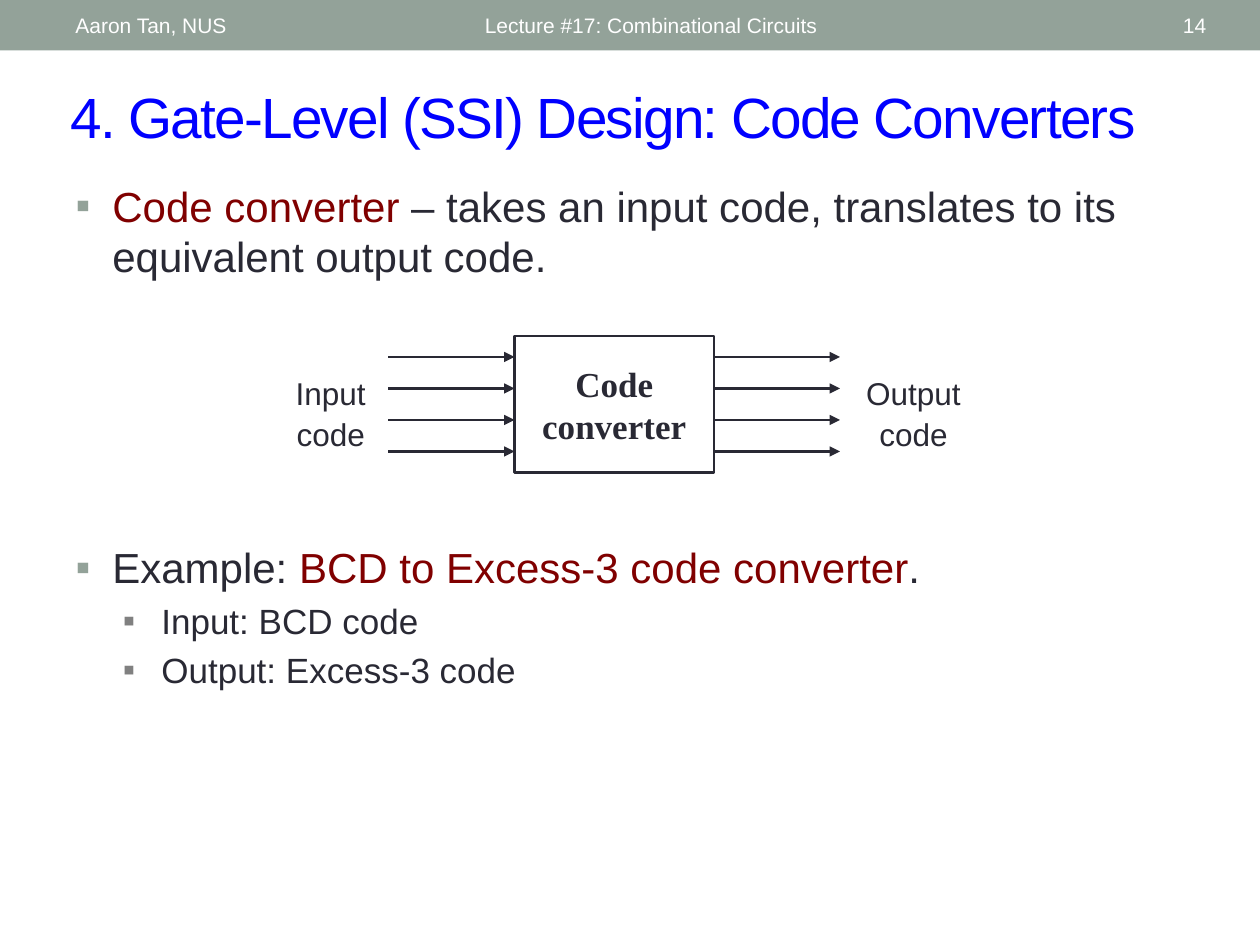
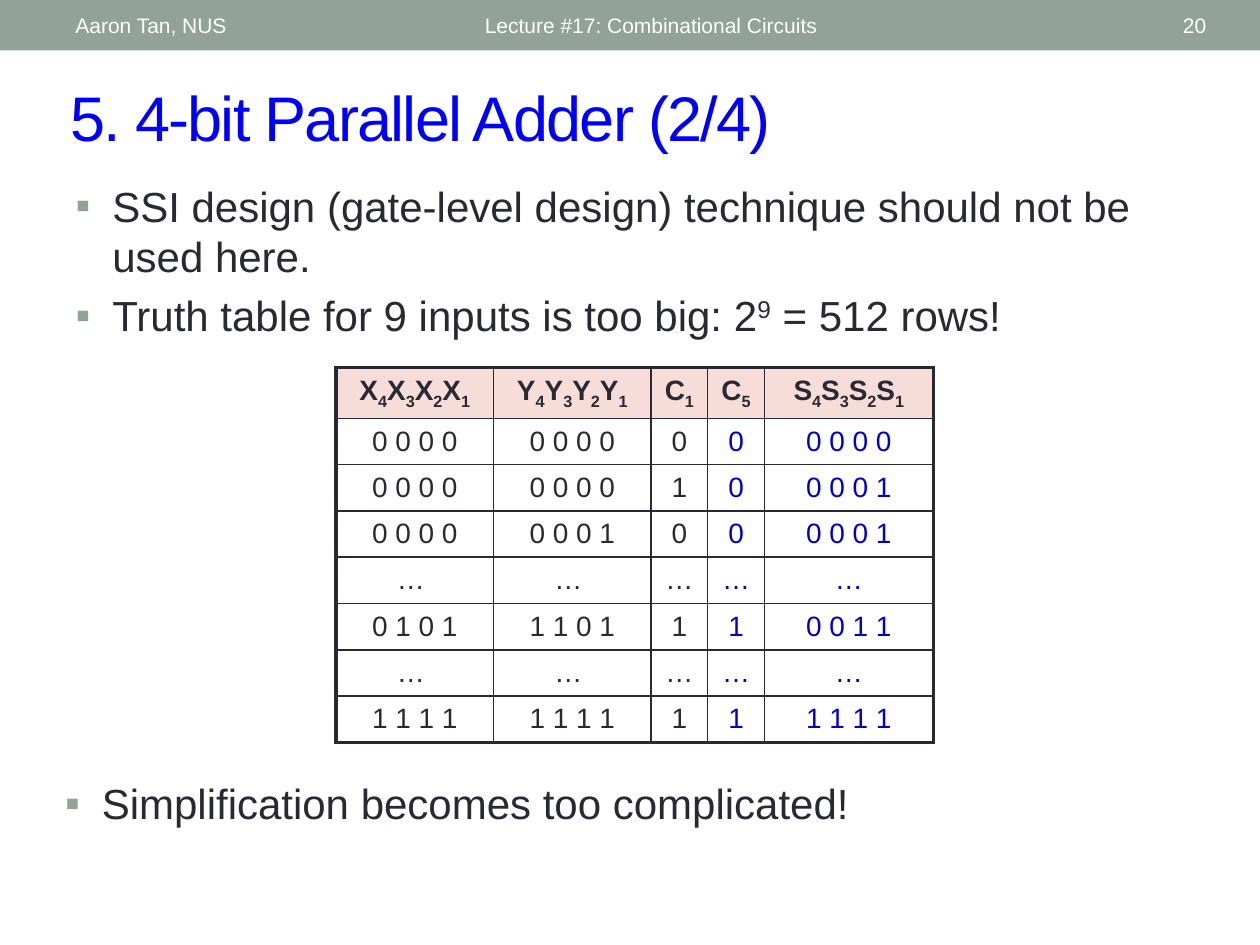
from lxml import etree
from pptx import Presentation
from pptx.dml.color import RGBColor
from pptx.enum.shapes import MSO_CONNECTOR, MSO_SHAPE
from pptx.enum.text import MSO_ANCHOR, MSO_AUTO_SIZE, PP_ALIGN
from pptx.oxml.ns import qn
from pptx.util import Pt

LEFT, CENTER, RIGHT = PP_ALIGN.LEFT, PP_ALIGN.CENTER, PP_ALIGN.RIGHT
TOP, MIDDLE = MSO_ANCHOR.TOP, MSO_ANCHOR.MIDDLE
NO_AUTOFIT = MSO_AUTO_SIZE.NONE
STRAIGHT, RECTANGLE = MSO_CONNECTOR.STRAIGHT, MSO_SHAPE.RECTANGLE

COLORS = {
    "band": "93A299", "band text": "FFFFFF", "title": "0000FF", "text": "292934",
    "term": "800000", "sub-bullet": "808080", "header": "F6DDD8", "output": "0000CC",
}
SANS, SERIF = "Arial", "Times New Roman"
BULLET = "▪"
LEVELS = [
    {"size": 24, "margin": 21, "indent": -21, "bullet": "band"},
    {"size": 20, "margin": 49, "indent": -22, "bullet": "sub-bullet"},
]

AUTHOR = "Aaron Tan, NUS"
LECTURE = "Lecture #17: Combinational Circuits"

CONVERTER_SLIDE = {
    "number": "14",
    "title": "4. Gate-Level (SSI) Design: Code Converters",
    "title size": 32.4,
    "lists": [
        ((36, 99.4, 648, 75), [
            (0, [("Code converter ", "term"),
                 ("– takes an input code, translates to its equivalent output code.", "text")]),
        ]),
        ((36, 306, 648, 96), [
            (0, [("Example: ", "text"), ("BCD to Excess-3 code converter", "term"), (".", "text")]),
            (1, [("Input: BCD code", "text")]),
            (1, [("Output: Excess-3 code", "text")]),
        ]),
    ],
}
ADDER_SLIDE = {
    "number": "20",
    "title": "5. 4-bit Parallel Adder (2/4)",
    "title size": 36,
    "lists": [
        ((36, 99.4, 618, 103), [
            (0, [("SSI design (gate-level design) technique should not be used here.", "text")]),
            (0, [("Truth table for 9 inputs is too big: 2", "text"), ("9", "power"),
                 (" = 512 rows!", "text")]),
        ]),
        ((30, 440.6, 648, 42), [(0, [("Simplification becomes too complicated!", "text")])]),
    ],
}

CONVERTER = ["Code", "converter"]
CONVERTER_BOX = (294, 192, 114, 78)
SIGNALS = [
    (["Input", "code"], (156, 210, 66, 53), 222),
    (["Output", "code"], (486, 210, 72, 53), 408),
]
SIGNAL_COUNT, FIRST_SIGNAL, SIGNAL_GAP, SIGNAL_LENGTH = 4, 204, 18, 72

TRUTH_TABLE = [
    ("X4X3X2X1", "Y4Y3Y2Y1", "C1", "C5", "S4S3S2S1"),
    ("0 0 0 0", "0 0 0 0", "0", "0", "0 0 0 0"),
    ("0 0 0 0", "0 0 0 0", "1", "0", "0 0 0 1"),
    ("0 0 0 0", "0 0 0 1", "0", "0", "0 0 0 1"),
    ("… ", "… ", "…", "…", "…"),
    ("0 1 0 1", "1 1 0 1", "1", "1", "0 0 1 1"),
    ("… ", "… ", "…", "…", "…"),
    ("1 1 1 1", "1 1 1 1", "1", "1", "1 1 1 1"),
]
TABLE_LEFT, TABLE_TOP = 192, 210
COLUMN_WIDTHS = [90, 90, 32.4, 32.4, 96.5]
ROW_HEIGHTS = [23, 23, 23, 23, 23, 26.6, 23, 23]
FIRST_OUTPUT = 3


def rgb(name):
    return RGBColor.from_string(COLORS[name])


def points(lengths):
    return [Pt(length) for length in lengths]


def place(shape, box):
    shape.left, shape.top, shape.width, shape.height = points(box)


def style_font(font, size, color, face=SANS, bold=False):
    font.name, font.size, font.bold = face, Pt(size), bold
    font.color.rgb = rgb(color)


def set_baseline(run, percent):
    run._r.get_or_add_rPr().set("baseline", str(percent * 1000))


def add_color(parent, tag, color):
    holder = etree.SubElement(parent, qn(tag))
    etree.SubElement(holder, qn("a:srgbClr"), val=COLORS[color])


def write_lines(frame, lines, size, color, align=LEFT, anchor=TOP, before=0, face=SANS, bold=False):
    frame.word_wrap = True
    frame.vertical_anchor = anchor
    for index, line in enumerate(lines):
        paragraph = frame.paragraphs[0] if index == 0 else frame.add_paragraph()
        paragraph.text = line
        paragraph.alignment = align
        paragraph.space_before = Pt(before)
        style_font(paragraph.font, size, color, face, bold)


def add_label(slide, box, lines, *style, **options):
    label = slide.shapes.add_textbox(*points(box))
    write_lines(label.text_frame, lines, *style, **options)


def fill_list(body, box, items):
    place(body, box)
    frame = body.text_frame
    frame.auto_size = NO_AUTOFIT
    for index, (depth, runs) in enumerate(items):
        level = LEVELS[depth]
        paragraph = frame.paragraphs[0] if index == 0 else frame.add_paragraph()
        paragraph.level = depth
        paragraph.font.name, paragraph.font.size = SANS, Pt(level["size"])
        properties = paragraph._p.get_or_add_pPr()
        properties.set("marL", str(Pt(level["margin"])))
        properties.set("indent", str(Pt(level["indent"])))
        bullet_color = etree.Element(qn("a:buClr"))
        etree.SubElement(bullet_color, qn("a:srgbClr"), val=COLORS[level["bullet"]])
        bullet = etree.Element(qn("a:buChar"), char=BULLET)
        properties.insert(0, bullet_color)
        properties.insert(1, bullet)
        for text, role in runs:
            run = paragraph.add_run()
            run.text = text
            run.font.color.rgb = rgb("text" if role == "power" else role)
            if role == "power":
                set_baseline(run, 30)


def add_slide(deck, content):
    slide = deck.slides.add_slide(deck.slide_layouts[3])
    band = slide.shapes.add_shape(RECTANGLE, *points((0, 0, 720, 28.8)))
    band.shadow.inherit = False
    band.fill.solid()
    band.fill.fore_color.rgb = rgb("band")
    band.line.fill.background()
    for left, width, text, align in [
        (270, 324, LECTURE, LEFT),
        (628, 68.4, content["number"], RIGHT),
        (36, 228, AUTHOR, LEFT),
    ]:
        add_label(slide, (left, 1.5, width, 26), [text], 12, "band text", align, MIDDLE)

    title = slide.shapes.title
    place(title, (33, 41, 674, 50.4))
    title.text_frame.auto_size = NO_AUTOFIT
    write_lines(title.text_frame, [content["title"]], content["title size"], "title", anchor=MIDDLE)
    title.text_frame.paragraphs[0].runs[0]._r.get_or_add_rPr().set("spc", "-100")

    for index, (box, items) in enumerate(content["lists"], start=1):
        fill_list(slide.placeholders[index], box, items)
    return slide


def add_arrow(slide, left, y):
    arrow = slide.shapes.add_connector(STRAIGHT, *points((left, y, left + SIGNAL_LENGTH, y)))
    arrow.line.color.rgb = rgb("text")
    arrow.line.width = Pt(1.25)
    etree.SubElement(arrow.line._get_or_add_ln(), qn("a:tailEnd"), type="triangle")
    etree.SubElement(arrow._element.spPr, qn("a:effectLst"))


def draw_converter(slide):
    box = slide.shapes.add_shape(RECTANGLE, *points(CONVERTER_BOX))
    box.shadow.inherit = False
    box.fill.background()
    box.line.color.rgb = rgb("text")
    box.line.width = Pt(1.5)
    write_lines(box.text_frame, CONVERTER, 20, "text", CENTER, MIDDLE, face=SERIF, bold=True)
    for label, label_box, arrow_left in SIGNALS:
        add_label(slide, label_box, label, 18, "text", CENTER, before=1.8)
        for index in range(SIGNAL_COUNT):
            add_arrow(slide, arrow_left, FIRST_SIGNAL + index * SIGNAL_GAP)


def set_borders(cell, outer_edges):
    properties = cell._tc.get_or_add_tcPr()
    for side, is_outer in zip("LRTB", outer_edges):
        width = Pt(2.25 if is_outer else 1)
        border = etree.SubElement(properties, qn(f"a:ln{side}"), w=str(width))
        add_color(border, "a:solidFill", "text")


def draw_truth_table(slide):
    last_row, last_column = len(ROW_HEIGHTS) - 1, len(COLUMN_WIDTHS) - 1
    box = (TABLE_LEFT, TABLE_TOP, sum(COLUMN_WIDTHS), sum(ROW_HEIGHTS))
    table = slide.shapes.add_table(last_row + 1, last_column + 1, *points(box)).table
    table.first_row = table.horz_banding = False
    for column, width in zip(table.columns, COLUMN_WIDTHS):
        column.width = Pt(width)
    for row, height in zip(table.rows, ROW_HEIGHTS):
        row.height = Pt(height)
    for r, values in enumerate(TRUTH_TABLE):
        is_header = r == 0
        for c, value in enumerate(values):
            cell = table.cell(r, c)
            set_borders(cell, (c == 0, c == last_column, r == 0, r == last_row))
            cell.vertical_anchor = MIDDLE
            paragraph = cell.text_frame.paragraphs[0]
            paragraph.alignment = CENTER
            paragraph.space_before = Pt(3.2)
            color = "output" if c >= FIRST_OUTPUT and not is_header else "text"
            style_font(paragraph.font, 16, color, bold=is_header)
            for part in value if is_header else [value]:
                run = paragraph.add_run()
                run.text = part
                if is_header and part.isdigit():
                    set_baseline(run, -25)
            if is_header:
                cell.fill.solid()
                cell.fill.fore_color.rgb = rgb("header")
            else:
                cell.fill.background()


deck = Presentation()
deck.slide_width, deck.slide_height = Pt(720), Pt(540)
draw_converter(add_slide(deck, CONVERTER_SLIDE))
draw_truth_table(add_slide(deck, ADDER_SLIDE))
deck.save("out.pptx")
